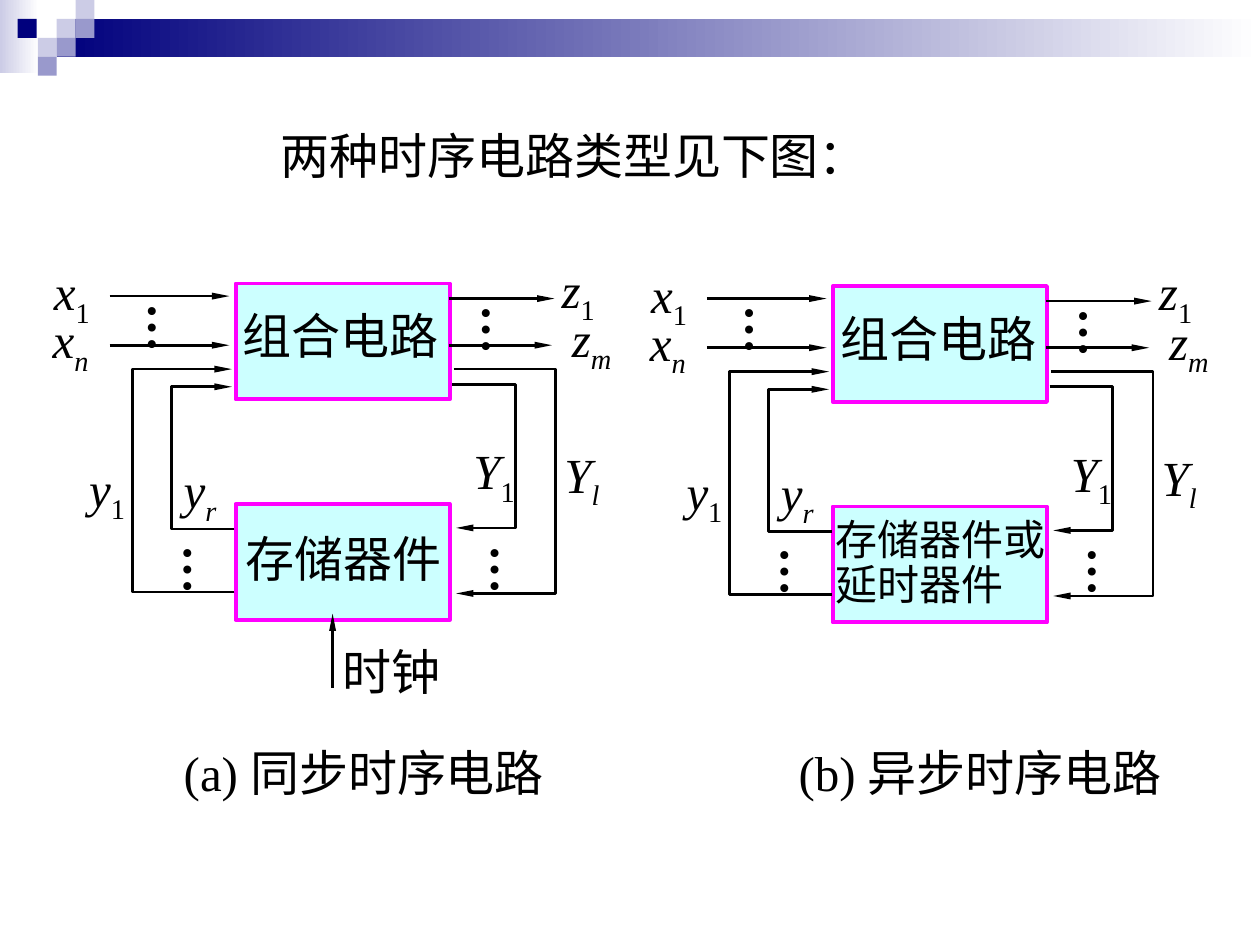
"""Build a slide comparing synchronous and asynchronous sequential circuits."""
from dataclasses import dataclass

from lxml import etree
from pptx import Presentation
from pptx.dml.color import RGBColor
from pptx.enum.lang import MSO_LANGUAGE_ID
from pptx.enum.shapes import MSO_CONNECTOR, MSO_SHAPE
from pptx.enum.text import MSO_AUTO_SIZE
from pptx.oxml.ns import qn
from pptx.shapes.base import BaseShape
from pptx.shapes.shapetree import GroupShapes
from pptx.util import Emu, Pt

RECTANGLE = MSO_SHAPE.RECTANGLE
STRAIGHT = MSO_CONNECTOR.STRAIGHT
GROW = MSO_AUTO_SIZE.SHAPE_TO_FIT_TEXT
CHINESE = MSO_LANGUAGE_ID.SIMPLIFIED_CHINESE
PX = 9144
Point = tuple[int, int]


@dataclass(frozen=True)
class Theme:
    font: str = "Times New Roman"
    text: str = "000000"
    navy: str = "00007D"
    violet: str = "9999CC"
    lilac: str = "CCCCE6"
    white: str = "FFFFFF"
    block: str = "CCFFFF"
    border: str = "FF00FF"
    size: int = 28
    small: int = 24
    line: float = 1.5
    border_line: float = 2.25


@dataclass(frozen=True)
class Box:
    left: int
    top: int
    width: int
    height: int

    def moved(self, offset: Point) -> "Box":
        return Box(self.left + offset[0], self.top + offset[1], self.width, self.height)

    def emu(self) -> list[Emu]:
        return [Emu(n * PX) for n in (self.left, self.top, self.width, self.height)]


@dataclass(frozen=True)
class Signal:
    name: str
    index: str
    box: Box


@dataclass(frozen=True)
class Circuit:
    offset: Point
    storage: str
    storage_box: Box
    storage_size: int
    caption: str
    caption_box: Box


THEME = Theme()
TITLE_BOX = Box(213, 95, 486, 57)
GRADIENTS = ((Box(0, 0, 31, 58), THEME.lilac), (Box(45, 15, 955, 30), THEME.navy))
TILES = (
    (45, 15, THEME.lilac), (60, 0, THEME.lilac), (60, 15, THEME.violet),
    (30, 30, THEME.lilac), (14, 15, THEME.navy), (45, 30, THEME.violet),
    (30, 45, THEME.violet),
)
BLOCKS = (Box(187, 225, 170, 92), Box(187, 400, 170, 92))
LOGIC_BOX = Box(183, 243, 178, 52)
SIGNALS = (
    Signal("x", "1", Box(33, 203, 48, 63)), Signal("x", "n", Box(32, 241, 48, 63)),
    Signal("z", "1", Box(436, 201, 46, 63)), Signal("z", "m", Box(444, 240, 51, 63)),
    Signal("y", "1", Box(61, 359, 48, 63)), Signal("y", "r", Box(136, 360, 46, 63)),
    Signal("Y", "1", Box(366, 345, 53, 63)), Signal("Y", "l", Box(438, 348, 48, 63)),
)
DOTS = tuple(Box(x, y, 66, 49) for x, y in ((96, 231), (361, 233), (124, 423), (368, 423)))
ARROWS = (
    ((87, 235), (182, 235)), ((87, 274), (182, 274)),
    ((356, 237), (440, 237)), ((356, 274), (438, 274)),
)
FEEDBACK = (
    ((186, 420), (136, 420), (136, 307), (184, 307)),
    ((186, 470), (105, 470), (105, 293), (184, 293)),
    ((359, 305), (409, 305), (409, 419), (362, 419)),
    ((360, 293), (441, 293), (441, 471), (362, 471)),
)
CLOCK_ARROW = ((264, 546), (264, 487))
CLOCK_BOX = Box(262, 504, 97, 57)
SYNCHRONOUS = Circuit((0, 0), "存储器件", Box(185, 420, 189, 52), THEME.size,
                      "(a) 同步时序电路", Box(136, 584, 315, 57))
ASYNCHRONOUS = Circuit((474, 2), "存储器件或延时器件", Box(653, 407, 218, 82), THEME.small,
                       "(b) 异步时序电路", Box(624, 584, 317, 57))


def rgb(color: str) -> RGBColor:
    return RGBColor.from_string(color)


def shift(point: Point, offset: Point) -> Point:
    return point[0] + offset[0], point[1] + offset[1]


def add_rectangle(shapes: GroupShapes, box: Box, color: str) -> BaseShape:
    shape = shapes.add_shape(RECTANGLE, *box.emu())
    shape.shadow.inherit = False
    shape.fill.solid()
    shape.fill.fore_color.rgb = rgb(color)
    shape.line.fill.background()
    return shape


def add_text(shapes: GroupShapes, box: Box, *parts: str, size: int = THEME.size,
             wrap: bool = False, right: int = 10) -> BaseShape:
    shape = shapes.add_textbox(*box.emu())
    frame = shape.text_frame
    frame.word_wrap = wrap
    frame.auto_size = GROW
    frame.margin_right = Emu(right * PX)
    paragraph = frame.paragraphs[0]
    if wrap:
        paragraph.line_spacing = 0.9
    for part in parts:
        run = paragraph.add_run()
        run.text = part
        run.font.name = THEME.font
        run.font.size = Pt(size)
        run.font.color.rgb = rgb(THEME.text)
        run.font.language_id = CHINESE
    return shape


def add_signal(shapes: GroupShapes, signal: Signal, offset: Point) -> None:
    shape = add_text(shapes, signal.box.moved(offset), signal.name, signal.index, right=0)
    name, index = shape.text_frame.paragraphs[0].runs
    name.font.italic = True
    index.font.italic = signal.index.isalpha()
    index.font._element.set("baseline", "-25000")


def add_dots(shapes: GroupShapes, box: Box) -> None:
    frame = add_text(shapes, box, "…", right=5).text_frame
    frame.margin_left = frame.margin_top = frame.margin_bottom = Emu(5 * PX)
    frame._txBody.bodyPr.set("vert", "eaVert")
    frame.paragraphs[0].runs[0].font.bold = True


def style_arrow(shape: BaseShape) -> None:
    shape.line.color.rgb = rgb(THEME.text)
    shape.line.width = Pt(THEME.line)
    etree.SubElement(shape.line._get_or_add_ln(), qn("a:tailEnd"),
                     type="triangle", w="sm", len="lg")


def add_arrow(shapes: GroupShapes, start: Point, end: Point) -> None:
    connector = shapes.add_connector(STRAIGHT, *(Emu(n * PX) for n in (*start, *end)))
    style_arrow(connector)
    etree.SubElement(connector._element.spPr, qn("a:effectLst"))


def add_feedback(shapes: GroupShapes, points: list[Point]) -> None:
    builder = shapes.build_freeform(*points[0], scale=PX)
    builder.add_line_segments(points[1:], close=False)
    shape = builder.convert_to_shape()
    shape.fill.background()
    style_arrow(shape)
    shape.shadow.inherit = False


def add_header(shapes: GroupShapes) -> None:
    for box, color in GRADIENTS:
        fill = add_rectangle(shapes, box, color).fill
        fill.gradient()
        fill.gradient_angle = 180
        for stop, stop_color in zip(fill.gradient_stops, (THEME.white, color)):
            stop.color.rgb = rgb(stop_color)
    for left, top, color in TILES:
        add_rectangle(shapes, Box(left, top, 15, 15), color)


def add_circuit(shapes: GroupShapes, circuit: Circuit) -> None:
    offset = circuit.offset
    for box in BLOCKS:
        block = add_rectangle(shapes, box.moved(offset), THEME.block)
        block.line.color.rgb = rgb(THEME.border)
        block.line.width = Pt(THEME.border_line)
    add_text(shapes, LOGIC_BOX.moved(offset), "组合电路", wrap=True)
    add_text(shapes, circuit.storage_box, circuit.storage, size=circuit.storage_size, wrap=True)
    for signal in SIGNALS:
        add_signal(shapes, signal, offset)
    for box in DOTS:
        add_dots(shapes, box.moved(offset))
    for start, end in ARROWS:
        add_arrow(shapes, shift(start, offset), shift(end, offset))
    for points in FEEDBACK:
        add_feedback(shapes, [shift(point, offset) for point in points])


def main() -> None:
    presentation = Presentation()
    presentation.slide_width, presentation.slide_height = Emu(1000 * PX), Emu(750 * PX)
    slide = presentation.slides.add_slide(presentation.slide_layouts[6])
    add_header(slide.shapes.add_group_shape().shapes)
    add_text(slide.shapes, TITLE_BOX, "两种时序电路类型见下图：")
    for circuit in (SYNCHRONOUS, ASYNCHRONOUS):
        group = slide.shapes.add_group_shape().shapes
        add_circuit(group, circuit)
        if circuit is SYNCHRONOUS:
            add_arrow(group, *CLOCK_ARROW)
            add_text(group, CLOCK_BOX, "时钟", right=0)
        add_text(slide.shapes, circuit.caption_box, circuit.caption)
    presentation.save("out.pptx")


if __name__ == "__main__":
    main()
